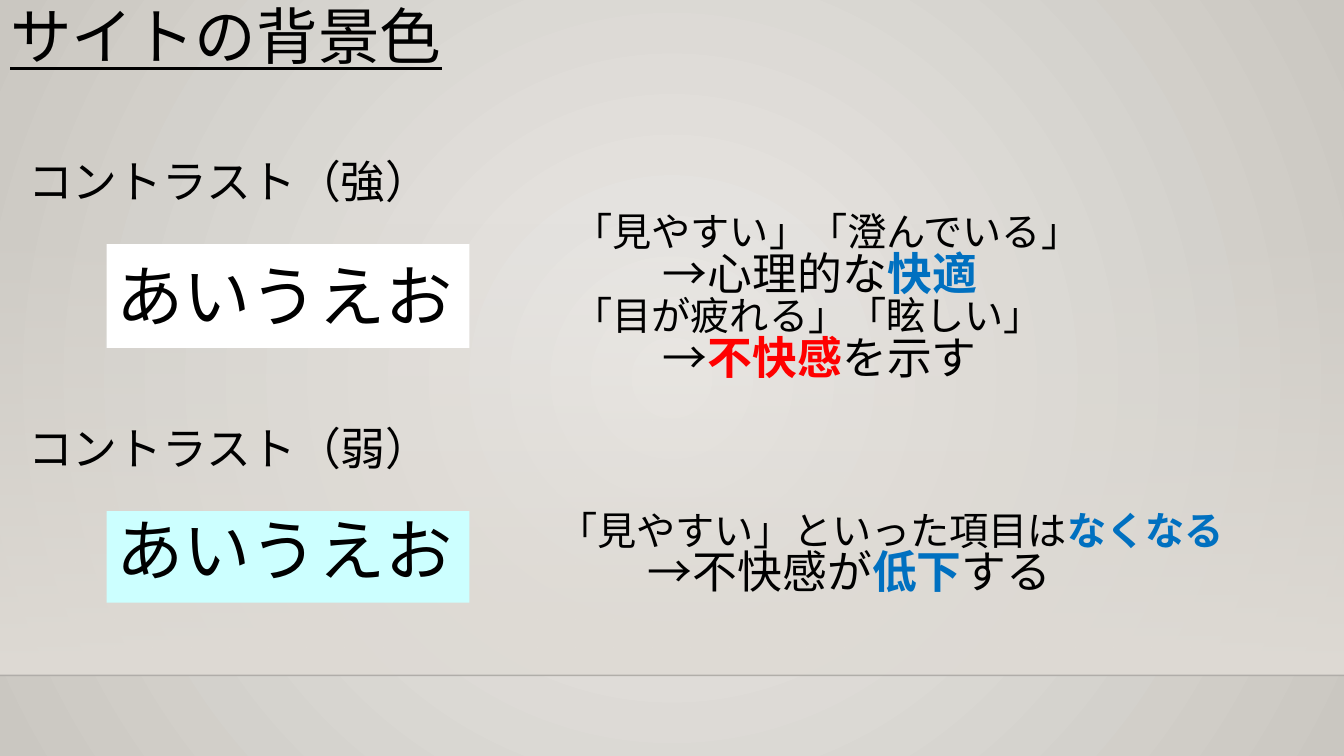
from lxml import etree
from pptx import Presentation
from pptx.dml.color import RGBColor
from pptx.enum.shapes import MSO_CONNECTOR, MSO_SHAPE
from pptx.enum.text import MSO_ANCHOR, MSO_AUTO_SIZE, PP_ALIGN
from pptx.oxml.ns import qn
from pptx.util import Cm, Pt

LEFT, TOP, NO_FIT = PP_ALIGN.LEFT, MSO_ANCHOR.TOP, MSO_AUTO_SIZE.NONE
RECT, STRAIGHT = MSO_SHAPE.RECTANGLE, MSO_CONNECTOR.STRAIGHT
FONT = "Noto Sans CJK JP"
BLACK = RGBColor(0x00, 0x00, 0x00)
WHITE = RGBColor(0xFF, 0xFF, 0xFF)
BLUE = RGBColor(0x00, 0x70, 0xC0)
RED = RGBColor(0xFF, 0x00, 0x00)
AQUA = RGBColor(0xCC, 0xFF, 0xFF)
GLOW = RGBColor(0xEC, 0xEA, 0xE7)
EDGE = RGBColor(0xCA, 0xC7, 0xC1)
WALL = RGBColor(0xDF, 0xDB, 0xD5)
RULE = RGBColor(0x00, 0x00, 0x01)
WIDTH, HEIGHT, FLOOR = 33.87, 19.05, 17.02


def set_gradient(fill, start, end):
    fill.gradient()
    for stop, color, position in zip(fill.gradient_stops, (start, end), (0, 1)):
        stop.color.rgb = color
        stop.position = position


def write(shape, paragraphs, spacing=0.83):
    """Fill a shape with paragraphs of (size, indent in em, [(text, color or None)]); coloured runs are bold."""
    tf = shape.text_frame
    tf.word_wrap = True
    tf.auto_size = NO_FIT
    tf.vertical_anchor = TOP
    tf.margin_top = Pt(3.6 + 0.08 * paragraphs[0][0])
    for i, (size, indent, runs) in enumerate(paragraphs):
        p = tf.add_paragraph() if i else tf.paragraphs[0]
        p.alignment = LEFT
        p.line_spacing = spacing
        p.space_before = Pt(0)
        if indent:
            pPr = p._p.get_or_add_pPr()
            pPr.set("marL", str(Pt(size * indent)))
            pPr.set("indent", "0")
        for text, color in runs:
            r = p.add_run()
            r.text = text
            r.font.name = FONT
            r.font.size = Pt(size)
            r.font.bold = color is not None
            r.font.color.rgb = color or BLACK
            etree.SubElement(r._r.get_or_add_rPr(), qn("a:ea"), typeface=FONT)


prs = Presentation()
prs.slide_width, prs.slide_height = Cm(WIDTH), Cm(HEIGHT)
s = prs.slides.add_slide(prs.slide_layouts[5])

# Background: a round glow from the centre
set_gradient(s.background.fill, GLOW, EDGE)
grad = s._element.find(".//" + qn("p:bg")).find(".//" + qn("a:gradFill"))
lin = grad.find(qn("a:lin"))
glow = etree.Element(qn("a:path"), path="circle")
etree.SubElement(glow, qn("a:fillToRect"), l="50000", t="50000", r="50000", b="50000")
grad.replace(lin, glow)

# Wall that fades in down to the floor line
wall = s.shapes.add_shape(RECT, Cm(0), Cm(5.61), Cm(WIDTH), Cm(FLOOR - 5.61))
wall.shadow.inherit = False
wall.line.fill.background()
set_gradient(wall.fill, WALL, WALL)
wall.fill.gradient_angle = 270
first_color = wall._element.spPr.find(".//" + qn("a:srgbClr"))
etree.SubElement(first_color, qn("a:alpha"), val="0")

floor = s.shapes.add_connector(STRAIGHT, Cm(0), Cm(FLOOR), Cm(WIDTH), Cm(FLOOR))
floor.line.color.rgb = RULE
floor.line.width = Pt(1)
etree.SubElement(floor._element.spPr.find(".//" + qn("a:srgbClr")), qn("a:alpha"), val="20000")
etree.SubElement(floor._element.spPr, qn("a:effectLst"))

title = s.shapes.title
title.left, title.top, title.width, title.height = Cm(0), Cm(0), Cm(26.72), Cm(2.13)
write(title, [(44, 0, [("サイトの背景色", None)])])
title.text_frame.paragraphs[0].runs[0].font.underline = True

# Colour samples: top, height, fill, line spacing
for top, height, color, spacing in ((6.15, 2.62, WHITE, 1.0), (12.88, 2.31, AQUA, 0.83)):
    sample = s.shapes.add_shape(RECT, Cm(2.69), Cm(top), Cm(9.14), Cm(height))
    sample.shadow.inherit = False
    sample.fill.solid()
    sample.fill.fore_color.rgb = color
    sample.line.fill.background()
    write(sample, [(48, 0, [("あいうえお", None)])], spacing)

# Labels and findings: left, top, width, height, paragraphs
texts = (
    (0.46, 3.89, 11.86, 1.63, [(32, 0, [("コントラスト（強）", None)])]),
    (0.46, 10.62, 11.56, 1.63, [(32, 0, [("コントラスト（弱）", None)])]),
    (14.2, 5.23, 18.31, 5.38, [
        (28, 0, [("「見やすい」「澄んでいる」", None)]),
        (32, 2, [("→心理的な", None), ("快適", BLUE)]),
        (28, 0, [("「目が疲れる」「眩しい」", None)]),
        (32, 2, [("→", None), ("不快感", RED), ("を示す", None)]),
    ]),
    (13.82, 12.75, 18.06, 2.82, [
        (28, 0, [("「見やすい」といった項目は", None), ("なくなる", BLUE)]),
        (32, 2, [("→不快感が", None), ("低下", BLUE), ("する", None)]),
    ]),
)
for left, top, width, height, paragraphs in texts:
    box = s.shapes.add_textbox(Cm(left), Cm(top), Cm(width), Cm(height))
    write(box, paragraphs)

prs.save("out.pptx")
